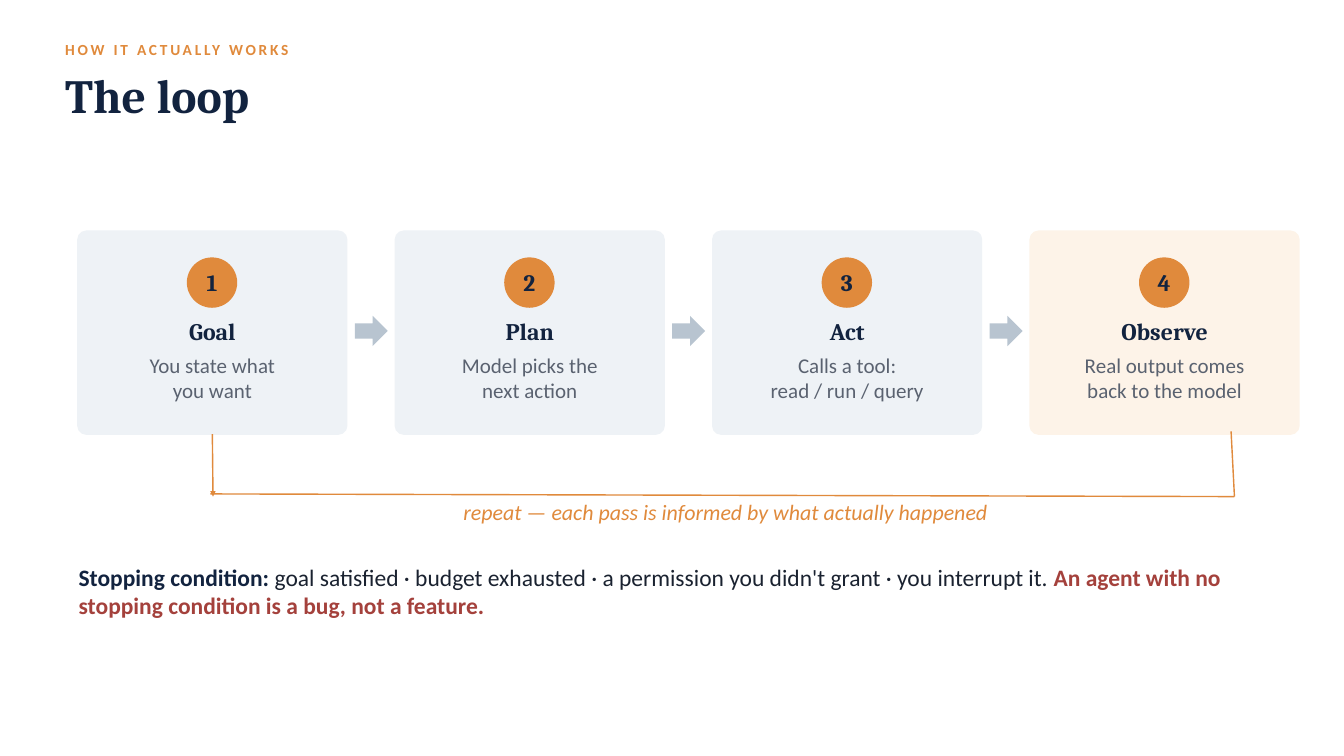
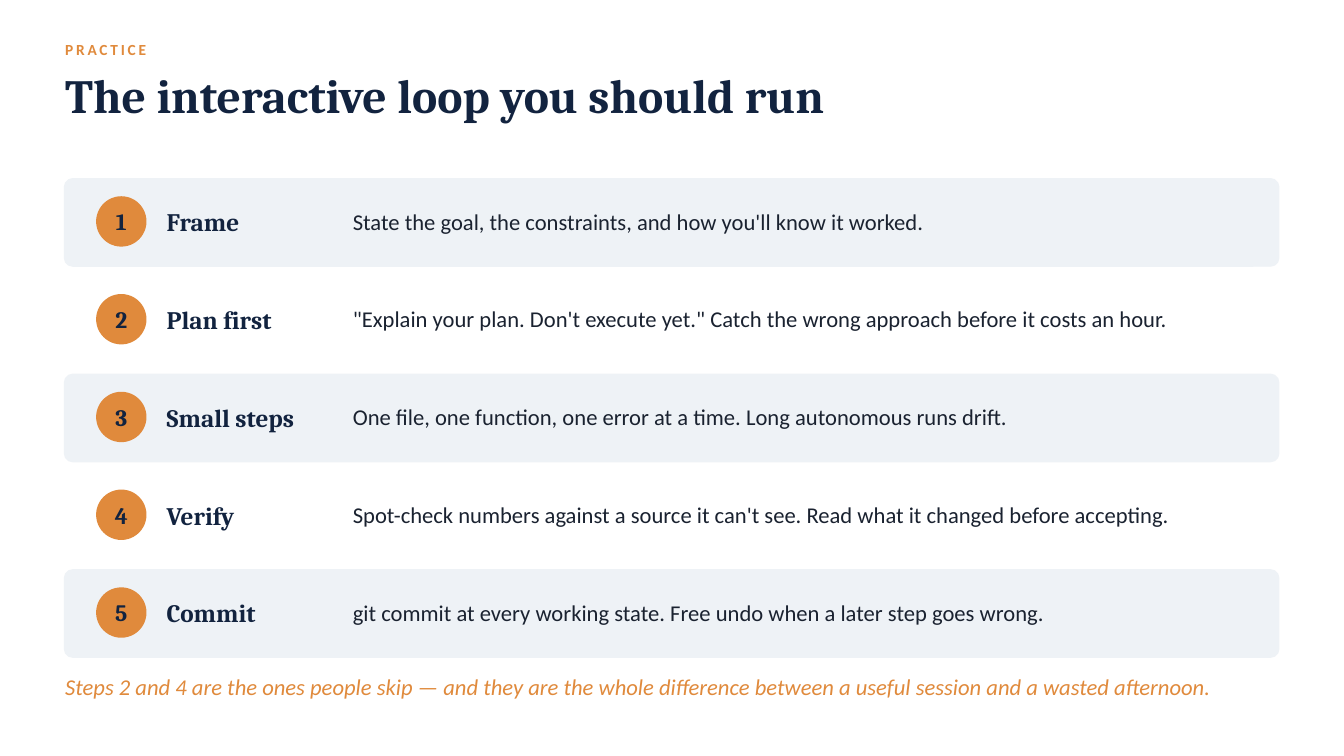
from dataclasses import dataclass
from typing import NamedTuple

from lxml.etree import SubElement
from pptx import Presentation
from pptx.dml.color import RGBColor as RGB
from pptx.enum.shapes import MSO_CONNECTOR as LINK, MSO_SHAPE as SHAPE
from pptx.enum.text import MSO_ANCHOR as ANCHOR, MSO_AUTO_SIZE as FIT, PP_ALIGN as ALIGN
from pptx.oxml.ns import qn
from pptx.util import Inches, Pt


# Theme: colours and type styles
@dataclass(frozen=True)
class Style:
    size: float
    font: str
    ink: str
    lead: float
    bold: bool = False
    slant: bool = False
    align: ALIGN = ALIGN.LEFT
    track: float = 0


@dataclass(frozen=True)
class Theme:
    navy: str = "12233F"
    text: str = "1A2230"
    grey: str = "5A6270"
    amber: str = "E08A3C"
    red: str = "A4413C"
    mist: str = "EEF2F6"
    cream: str = "FDF3E8"
    steel: str = "B8C4D0"
    white: str = "FFFFFF"
    edge: float = 1.5
    round: float = 0.125
    kicker: Style = Style(16.5, "Calibri", amber, 23.8, bold=True, track=3)
    title: Style = Style(51, "Cambria", navy, 61.2, bold=True)
    badge: Style = Style(25.2, "Cambria", navy, 30.2, bold=True, align=ALIGN.CENTER)
    card: Style = Style(25.5, "Cambria", navy, 30.6, bold=True, align=ALIGN.CENTER)
    body: Style = Style(22.5, "Calibri", grey, 27, align=ALIGN.CENTER)
    loop: Style = Style(23.5, "Calibri", amber, 28.1, slant=True, align=ALIGN.CENTER)
    stop: Style = Style(25.2, "Calibri", text, 30)
    step: Style = Style(27, "Cambria", navy, 32.4, bold=True)
    rule: Style = Style(24.2, "Calibri", text, 29.2)
    close: Style = Style(24.2, "Calibri", amber, 29.2, slant=True)


THEME = Theme()


class Box(NamedTuple):
    left: float
    top: float
    width: float
    height: float

    def inches(self) -> list:
        return [Inches(side) for side in self]


class Span(NamedTuple):
    text: str
    ink: str
    bold: bool


@dataclass(frozen=True)
class Card:
    name: str
    lines: tuple[str, ...]
    fill: str = THEME.mist


@dataclass(frozen=True)
class Step:
    name: str
    text: str


# Text helpers
def set_frame(frame, anchor: ANCHOR = ANCHOR.TOP) -> None:
    frame.word_wrap = True
    frame.auto_size = FIT.NONE
    frame.vertical_anchor = anchor
    frame.margin_left = frame.margin_right = 0
    frame.margin_top = frame.margin_bottom = 0


def set_para(para, style: Style) -> None:
    para.alignment = style.align
    para.line_spacing = Pt(style.lead)
    para.space_before = para.space_after = Pt(0)
    font = para.font
    font.name, font.size = style.font, Pt(style.size)
    font.bold, font.italic = style.bold, style.slant
    font.color.rgb = RGB.from_string(style.ink)
    if style.track:
        for run in para.runs:
            run._r.get_or_add_rPr().set("spc", str(int(style.track * 100)))


def write(frame, style: Style, *lines: str, anchor: ANCHOR = ANCHOR.TOP) -> None:
    set_frame(frame, anchor)
    for i, line in enumerate(lines):
        para = frame.add_paragraph() if i else frame.paragraphs[0]
        para.add_run().text = line
        set_para(para, style)


def add_text(slide, box: Box, style: Style, *lines: str,
             anchor: ANCHOR = ANCHOR.TOP) -> None:
    write(slide.shapes.add_textbox(*box.inches()).text_frame, style, *lines, anchor=anchor)


def add_spans(slide, box: Box, style: Style, spans: list[Span]) -> None:
    frame = slide.shapes.add_textbox(*box.inches()).text_frame
    set_frame(frame)
    para = frame.paragraphs[0]
    set_para(para, style)
    for span in spans:
        run = para.add_run()
        run.text = span.text
        run.font.bold = span.bold
        run.font.color.rgb = RGB.from_string(span.ink)


# Shape helpers
def add_shape(slide, kind: SHAPE, box: Box, fill: str):
    shape = slide.shapes.add_shape(kind, *box.inches())
    shape.shadow.inherit = False
    shape.fill.solid()
    shape.fill.fore_color.rgb = RGB.from_string(fill)
    shape.line.fill.background()
    return shape


def add_panel(slide, box: Box, fill: str):
    panel = add_shape(slide, SHAPE.ROUNDED_RECTANGLE, box, fill)
    panel.adjustments[0] = THEME.round / min(box.width, box.height)
    panel.line.color.rgb = RGB.from_string(fill)
    panel.line.width = Pt(THEME.edge)
    return panel


def add_badge(slide, left: float, top: float, count: int) -> None:
    badge = add_shape(slide, SHAPE.OVAL, Box(left, top, 0.75, 0.75), THEME.amber)
    write(badge.text_frame, THEME.badge, str(count), anchor=ANCHOR.MIDDLE)


def add_line(slide, start: tuple[float, float], end: tuple[float, float],
             arrow: bool = False):
    points = [Inches(n) for n in (*start, *end)]
    line = slide.shapes.add_connector(LINK.STRAIGHT, *points)
    line.line.color.rgb = RGB.from_string(THEME.amber)
    line.line.width = Pt(THEME.edge)
    if arrow:
        SubElement(line.line._get_or_add_ln(), qn("a:tailEnd"), type="triangle")
    SubElement(line._element.spPr, qn("a:effectLst"))
    return line


# Shared slide head
def add_slide(deck, kicker: str, title: str):
    slide = deck.slides.add_slide(deck.slide_layouts[5])
    head = slide.shapes.title
    head.left, head.top, head.width, head.height = Box(0.97, 0.98, 18, 1.29).inches()
    write(head.text_frame, THEME.title, title)
    add_text(slide, Box(0.97, 0.54, 16.5, 0.45), THEME.kicker, kicker)
    return slide


CARDS = [
    Card("Goal", ("You state what", "you want")),
    Card("Plan", ("Model picks the", "next action")),
    Card("Act", ("Calls a tool:", "read / run / query")),
    Card("Observe", ("Real output comes", "back to the model"), THEME.cream),
]
STOP = [
    Span("Stopping condition: ", THEME.navy, True),
    Span("goal satisfied · budget exhausted · a permission you didn't grant · "
         "you interrupt it. ", THEME.text, False),
    Span("An agent with no stopping condition is a bug, not a feature.", THEME.red, True),
]
STEPS = [
    Step("Frame", "State the goal, the constraints, and how you'll know it worked."),
    Step("Plan first", "\"Explain your plan. Don't execute yet.\" "
         "Catch the wrong approach before it costs an hour."),
    Step("Small steps", "One file, one function, one error at a time. "
         "Long autonomous runs drift."),
    Step("Verify", "Spot-check numbers against a source it can't see. "
         "Read what it changed before accepting."),
    Step("Commit", "git commit at every working state. "
         "Free undo when a later step goes wrong."),
]


def add_loop(deck) -> None:
    slide = add_slide(deck, "HOW IT ACTUALLY WORKS", "The loop")

    # Cards with arrows between them
    first, last = 1.16, 15.33
    pitch = (last - first) / (len(CARDS) - 1)
    panels = []
    for i, card in enumerate(CARDS):
        left = first + i * pitch
        panels.append(add_panel(slide, Box(left, 3.44, 4, 3.02), card.fill))
        add_badge(slide, left + 1.62, 3.83, i + 1)
        add_text(slide, Box(left + 0.01, 4.71, 3.98, 0.54), THEME.card, card.name)
        add_text(slide, Box(left + 0.24, 5.24, 3.52, 1.09), THEME.body, *card.lines)
        if i < len(CARDS) - 1:
            add_shape(slide, SHAPE.RIGHT_ARROW, Box(left + 4.12, 4.7, 0.49, 0.45),
                      THEME.steel)

    # Return path
    add_line(slide, (18.32, 6.42), (18.37, 7.39))
    add_line(slide, (3.13, 7.35), (18.37, 7.39))
    back = add_line(slide, (3.13, 6.42), (3.17, 7.39), arrow=True)
    back.begin_connect(panels[0], 2)
    add_text(slide, Box(4.8, 7.42, 12, 0.58), THEME.loop,
             "repeat — each pass is informed by what actually happened")

    add_spans(slide, Box(1.17, 8.38, 17.7, 1.29), THEME.stop, STOP)


def add_steps(deck) -> None:
    slide = add_slide(deck, "PRACTICE", "The interactive loop you should run")

    # Striped rows
    first, last = 2.66, 8.48
    pitch = (last - first) / (len(STEPS) - 1)
    for i, step in enumerate(STEPS):
        top = first + i * pitch
        add_panel(slide, Box(0.96, top, 18.07, 1.3), THEME.white if i % 2 else THEME.mist)
        add_badge(slide, 1.43, top + 0.26, i + 1)
        add_text(slide, Box(2.48, top - 0.01, 2.85, 1.3), THEME.step, step.name,
                 anchor=ANCHOR.MIDDLE)
        add_text(slide, Box(5.25, top - 0.02, 13.35, 1.3), THEME.rule, step.text,
                 anchor=ANCHOR.MIDDLE)

    add_text(slide, Box(0.97, 10.01, 18, 0.72), THEME.close,
             "Steps 2 and 4 are the ones people skip — and they are the whole "
             "difference between a useful session and a wasted afternoon.")


def main() -> None:
    deck = Presentation()
    deck.slide_width, deck.slide_height = Inches(20), Inches(11.25)
    add_loop(deck)
    add_steps(deck)
    deck.save("out.pptx")


if __name__ == "__main__":
    main()
